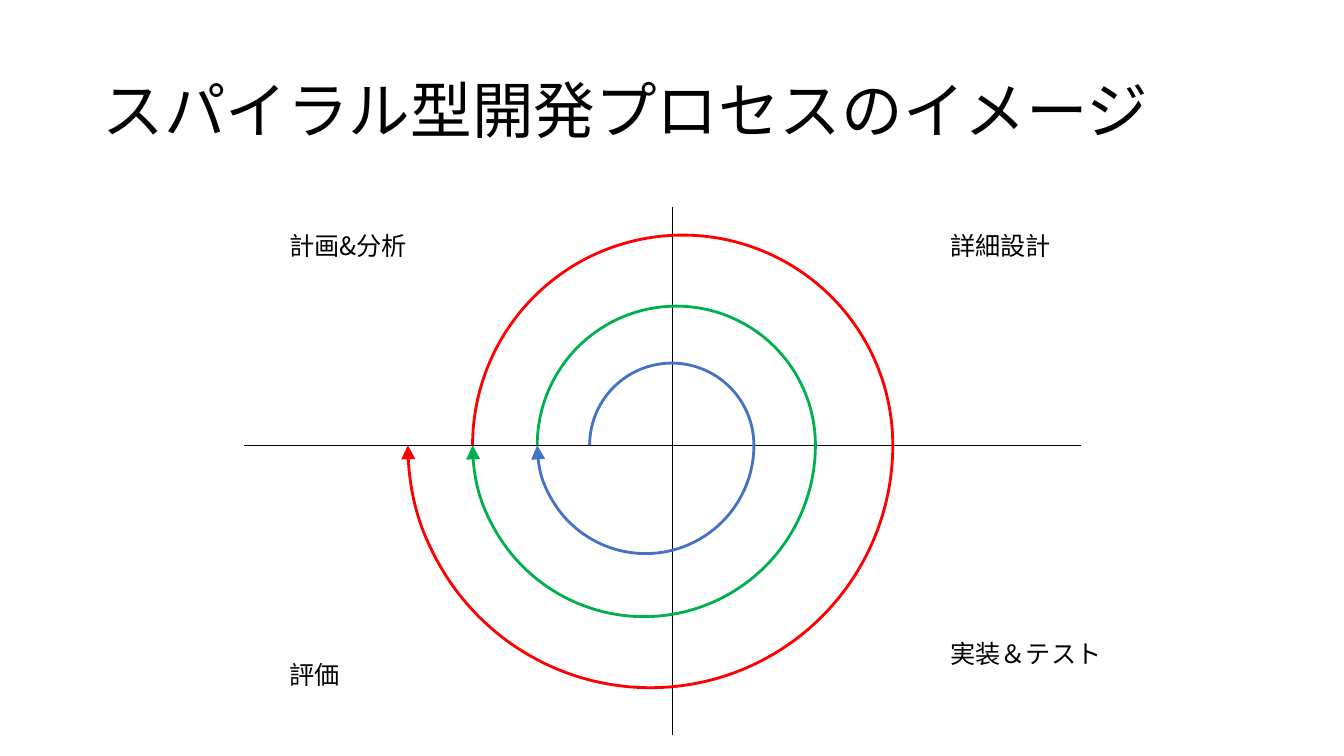
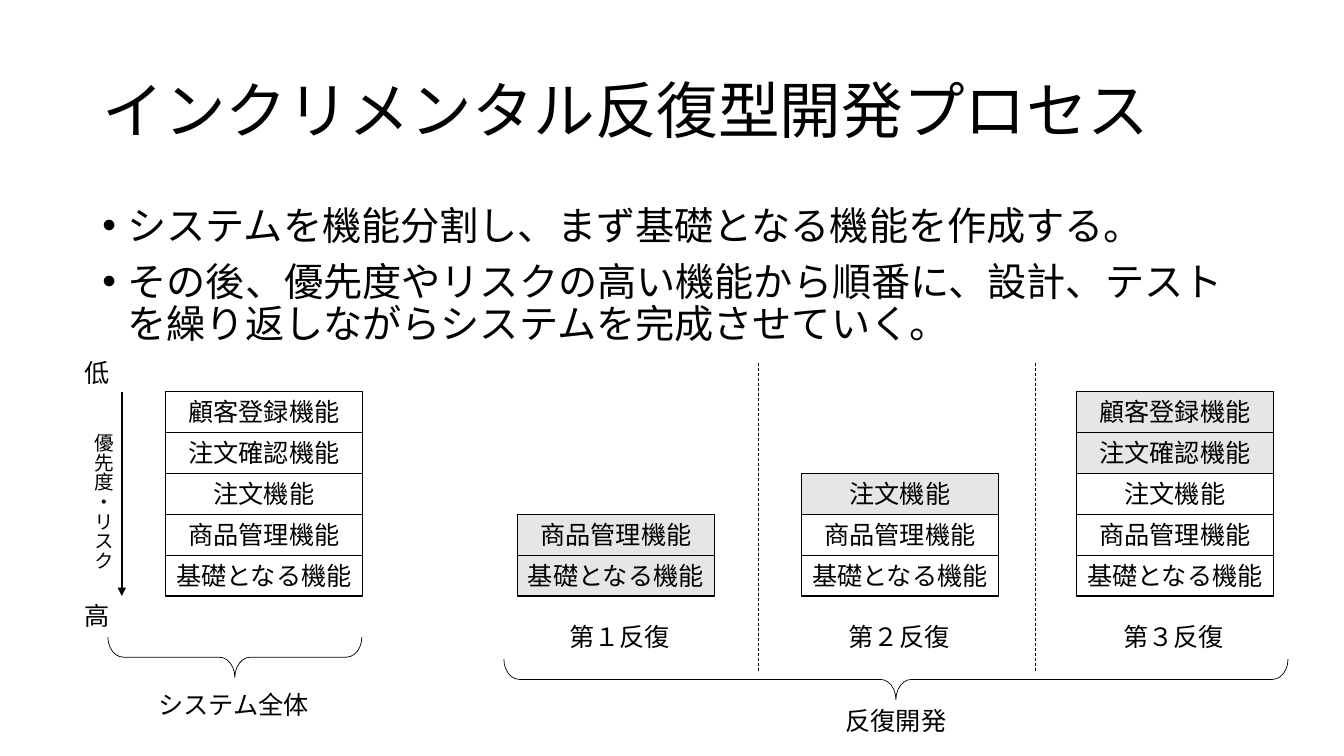
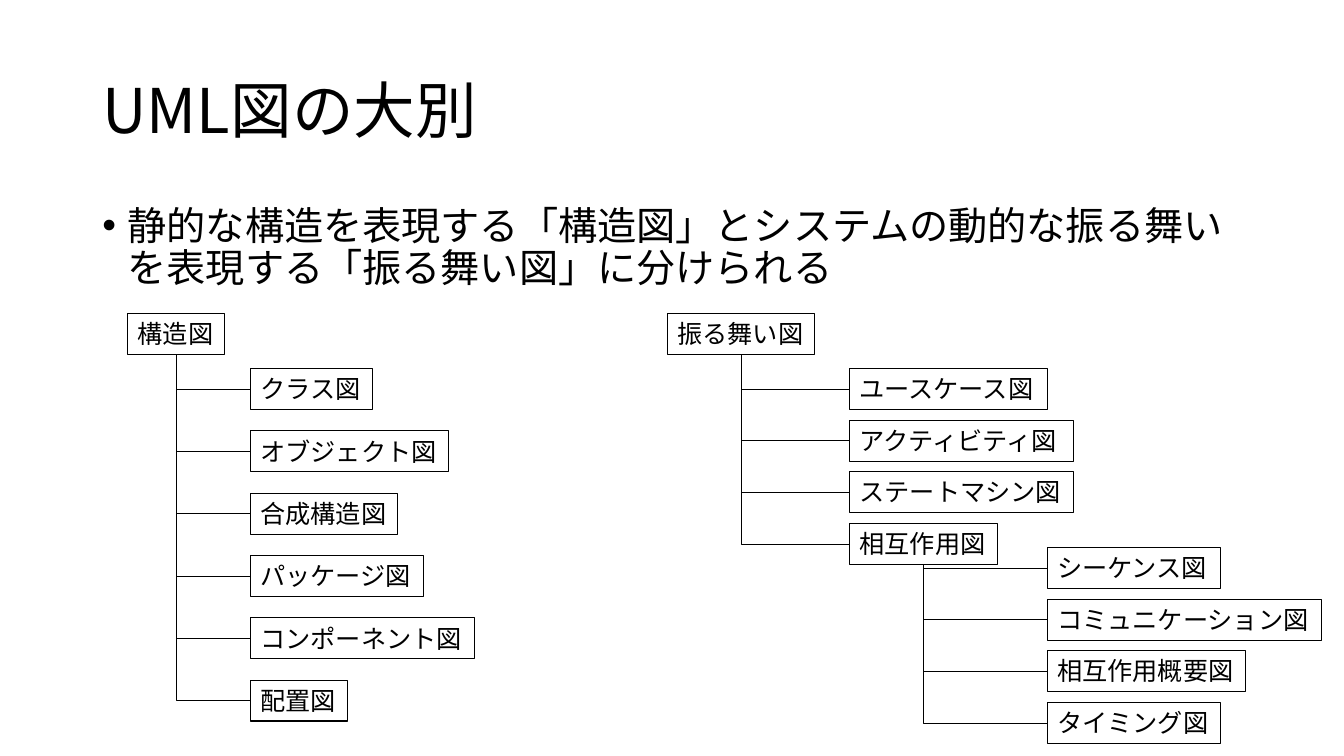
from lxml import etree
from pptx import Presentation
from pptx.dml.color import RGBColor
from pptx.enum import dml, shapes, text
from pptx.oxml.ns import qn
from pptx.util import Cm, Pt

FONT = "Noto Sans CJK JP"
BLACK = RGBColor(0x00, 0x00, 0x00)
GREY = RGBColor(0xE7, 0xE6, 0xE6)
BLUE = RGBColor(0x44, 0x72, 0xC4)
GREEN = RGBColor(0x00, 0xB0, 0x50)
RED = RGBColor(0xFF, 0x00, 0x00)

ROW_HEIGHT = 1.03
LEFT = text.PP_ALIGN.LEFT
CENTER = text.PP_ALIGN.CENTER
BOTTOM_SITE, LEFT_SITE = 2, 1


def text_width(words):
    """Width in cm of a one-line 18 pt box with its side margins."""
    return 0.64 * len(words) + 0.52


class Deck:
    """The shared style and the slide being drawn; all lengths are in cm."""

    def __init__(self):
        self.presentation = Presentation()
        self.presentation.slide_width = Cm(33.87)
        self.presentation.slide_height = Cm(19.05)
        self.slide = None

    def add_slide(self, title):
        layout = self.presentation.slide_layouts.get_by_name("Title Only")
        self.slide = self.presentation.slides.add_slide(layout)
        shape = self.slide.shapes.title
        shape.left, shape.top = Cm(2.33), Cm(1.01)
        shape.width, shape.height = Cm(29.21), Cm(3.68)
        frame = shape.text_frame
        frame.text = title
        frame.word_wrap = True
        frame.auto_size = text.MSO_AUTO_SIZE.NONE
        frame.vertical_anchor = text.MSO_ANCHOR.MIDDLE
        frame.paragraphs[0].line_spacing = 0.9
        self.format_text(frame, 44)

    def format_text(self, frame, size, align=LEFT):
        for paragraph in frame.paragraphs:
            paragraph.alignment = align
            for run in paragraph.runs:
                run.font.size = Pt(size)
                run.font.color.rgb = BLACK
                run.font.name = FONT
                properties = run._r.get_or_add_rPr()
                etree.SubElement(properties, qn("a:ea"), typeface=FONT)

    def bullets(self, lines, height):
        shape = self.slide.shapes.add_textbox(
            Cm(2.33), Cm(5.07), Cm(29.21), Cm(height))
        frame = shape.text_frame
        frame.word_wrap = True
        frame.text = "\n".join(lines)
        for paragraph in frame.paragraphs:
            paragraph.line_spacing = 0.9
            paragraph.space_before = Pt(10)
            properties = paragraph._p.get_or_add_pPr()
            properties.set("marL", str(Cm(0.64)))
            properties.set("indent", str(-Cm(0.64)))
            etree.SubElement(properties, qn("a:buFont"), typeface="Arial")
            etree.SubElement(properties, qn("a:buChar"), char="•")
        self.format_text(frame, 28)

    def label(self, words, left, top, width=None, height=ROW_HEIGHT,
              size=18, align=LEFT, vertical=False):
        """Text box; without a width it is as wide as its single line."""
        shape = self.slide.shapes.add_textbox(
            Cm(left), Cm(top), Cm(width or text_width(words)), Cm(height))
        frame = shape.text_frame
        frame.text = words
        frame.word_wrap = width is not None and not vertical
        frame.auto_size = text.MSO_AUTO_SIZE.SHAPE_TO_FIT_TEXT
        if vertical:
            frame._txBody.bodyPr.set("vert", "eaVert")
        self.format_text(frame, size, align)
        return shape

    def box(self, words, left, top, width=None, align=LEFT, fill=None):
        shape = self.label(words, left, top, width, align=align)
        shape.line.color.rgb = BLACK
        shape.line.width = Pt(0.75)
        if fill is not None:
            shape.fill.solid()
            shape.fill.fore_color.rgb = fill
        return shape

    def add_arrowhead(self, line, size="med"):
        etree.SubElement(line._get_or_add_ln(), qn("a:tailEnd"),
                         type="triangle", w=size, len=size)

    def line(self, start, end, width=0.5, dashed=False, arrow=False,
             kind=shapes.MSO_CONNECTOR.STRAIGHT):
        connector = self.slide.shapes.add_connector(
            kind, Cm(start[0]), Cm(start[1]), Cm(end[0]), Cm(end[1]))
        connector.line.color.rgb = BLACK
        connector.line.width = Pt(width)
        if dashed:
            connector.line.dash_style = dml.MSO_LINE.DASH
        if arrow:
            self.add_arrowhead(connector.line)
        etree.SubElement(connector._element.spPr, qn("a:effectLst"))
        return connector

    def elbow(self, parent, child):
        """One-bend connector: down from the parent, then right to the child."""
        connector = self.line((0, 0), (1, 1), kind=shapes.MSO_CONNECTOR.ELBOW)
        connector.begin_connect(parent, BOTTOM_SITE)
        connector.end_connect(child, LEFT_SITE)
        across, down = connector.width, connector.height
        # The preset runs across first, so it is mirrored and turned.
        connector.left += (across - down) // 2
        connector.top += (down - across) // 2
        connector.width, connector.height = down, across
        properties = connector._element.spPr
        properties.find(qn("a:prstGeom")).set("prst", "bentConnector2")
        transform = properties.find(qn("a:xfrm"))
        transform.set("rot", "16200000")
        transform.set("flipH", "1")

    def outline(self, kind, left, top, width, height, adjustments,
                color=BLACK, weight=0.5):
        shape = self.slide.shapes.add_shape(
            kind, Cm(left), Cm(top), Cm(width), Cm(height))
        shape.shadow.inherit = False
        shape.fill.background()
        shape.line.color.rgb = color
        shape.line.width = Pt(weight)
        for index, value in enumerate(adjustments):
            shape.adjustments[index] = value
        return shape

    def half_turn(self, left, right, middle, color, upper):
        """Half circle on the axis; the lower half ends in an arrowhead."""
        diameter = right - left
        # 108 stands for 180 degrees.
        angles = (108, 0) if upper else (0, 108)
        shape = self.outline(shapes.MSO_SHAPE.ARC, left, middle - diameter / 2,
                             diameter, diameter, angles, color, 2)
        if not upper:
            self.add_arrowhead(shape.line, "lg")

    def brace_below(self, left, top, width, depth=1.02):
        """Brace that opens upward, given by its place after rotation."""
        shape = self.outline(
            shapes.MSO_SHAPE.LEFT_BRACE,
            left + (width - depth) / 2, top + (depth - width) / 2,
            depth, width, (0.384, 0.5))
        shape.rotation = 270

    def stack(self, names, left, bottom, shaded):
        """Boxes piled on a common bottom, the top ones shaded."""
        top = bottom - ROW_HEIGHT * len(names)
        for row, name in enumerate(names):
            self.box(name, left, top + row * ROW_HEIGHT, 4.96, CENTER,
                     GREY if row < shaded else None)

    def branches(self, parent, names, left, top, pitch):
        """Column of child boxes joined to the parent; returns the last one."""
        for row, name in enumerate(names):
            child = self.box(name, left, top + row * pitch)
            self.elbow(parent, child)
        return child


def add_spiral(deck):
    deck.add_slide("スパイラル型開発プロセスのイメージ")
    middle = 11.22
    deck.line((6.16, middle), (27.23, middle))
    deck.line((16.94, 5.22), (16.94, 18.53))

    left_ends = (14.86, 13.54, 11.91, 10.28)
    turns = zip((BLUE, GREEN, RED), left_ends, left_ends[1:],
                (19, 20.55, 22.5))
    for color, start, end, right in turns:
        deck.half_turn(start, right, middle, color, upper=True)
        deck.half_turn(end, right, middle, color, upper=False)

    deck.label("計画&分析", 7.04, 5.69, width=3.53)
    deck.label("詳細設計", 23.7, 5.69)
    deck.label("実装＆テスト", 23.7, 15.96)
    deck.label("評価", 7.04, 16.48)


def add_increments(deck):
    deck.add_slide("インクリメンタル反復型開発プロセス")
    deck.bullets([
        "システムを機能分割し、まず基礎となる機能を作成する。",
        "その後、優先度やリスクの高い機能から順番に、設計、テストを"
        "繰り返しながらシステムを完成させていく。",
    ], 4.45)

    functions = ["顧客登録機能", "注文確認機能", "注文機能",
                 "商品管理機能", "基礎となる機能"]
    bottom = 15.02
    for left, count, shaded in ((4.17, 5, 0), (13.04, 2, 2),
                                (20.2, 3, 1), (27.13, 5, 2)):
        deck.stack(functions[-count:], left, bottom, shaded)

    deck.line((3.07, 9.88), (3.07, bottom), 1.5, arrow=True)
    deck.label("低", 1.88, 8.89)
    deck.label("高", 1.88, 15)
    deck.label("優先度・リスク", 1.91, 10.67, 1.12, 3.76, 14, CENTER,
               vertical=True)

    for x in (19.12, 26.09):
        deck.line((x, 9.14), (x, 16.94), dashed=True)
    for name, left in (("第１反復", 14.1), ("第２反復", 21.14),
                       ("第３反復", 28.06)):
        deck.label(name, left, 15.52)

    deck.brace_below(2.72, 16.05, 6.4)
    deck.label("システム全体", 3.74, 17.25)
    deck.brace_below(12.7, 16.61, 19.76)
    deck.label("反復開発", 21.04, 17.65, align=CENTER)


def add_diagram_kinds(deck):
    deck.add_slide("UML図の大別")
    deck.bullets(["静的な構造を表現する「構造図」とシステムの動的な振る舞いを"
                  "表現する「振る舞い図」に分けられる"], 12.09)

    root_top, child_top, pitch = 7.9, 9.29, 1.3
    structure = deck.box("構造図", 3.22, root_top)
    deck.branches(structure, [
        "クラス図", "オブジェクト図", "合成構造図", "パッケージ図",
        "コンポーネント図", "配置図"], 6.31, child_top, 1.57)

    behaviour = deck.box("振る舞い図", 16.82, root_top)
    interaction = deck.branches(behaviour, [
        "ユースケース図", "アクティビティ図", "ステートマシン図",
        "相互作用図"], 21.41, child_top, pitch)
    deck.branches(interaction, [
        "シーケンス図", "コミュニケーション図", "相互作用概要図",
        "タイミング図"], 26.39, 13.8, pitch)


def main():
    deck = Deck()
    add_spiral(deck)
    add_increments(deck)
    add_diagram_kinds(deck)
    deck.presentation.save("out.pptx")


if __name__ == "__main__":
    main()
